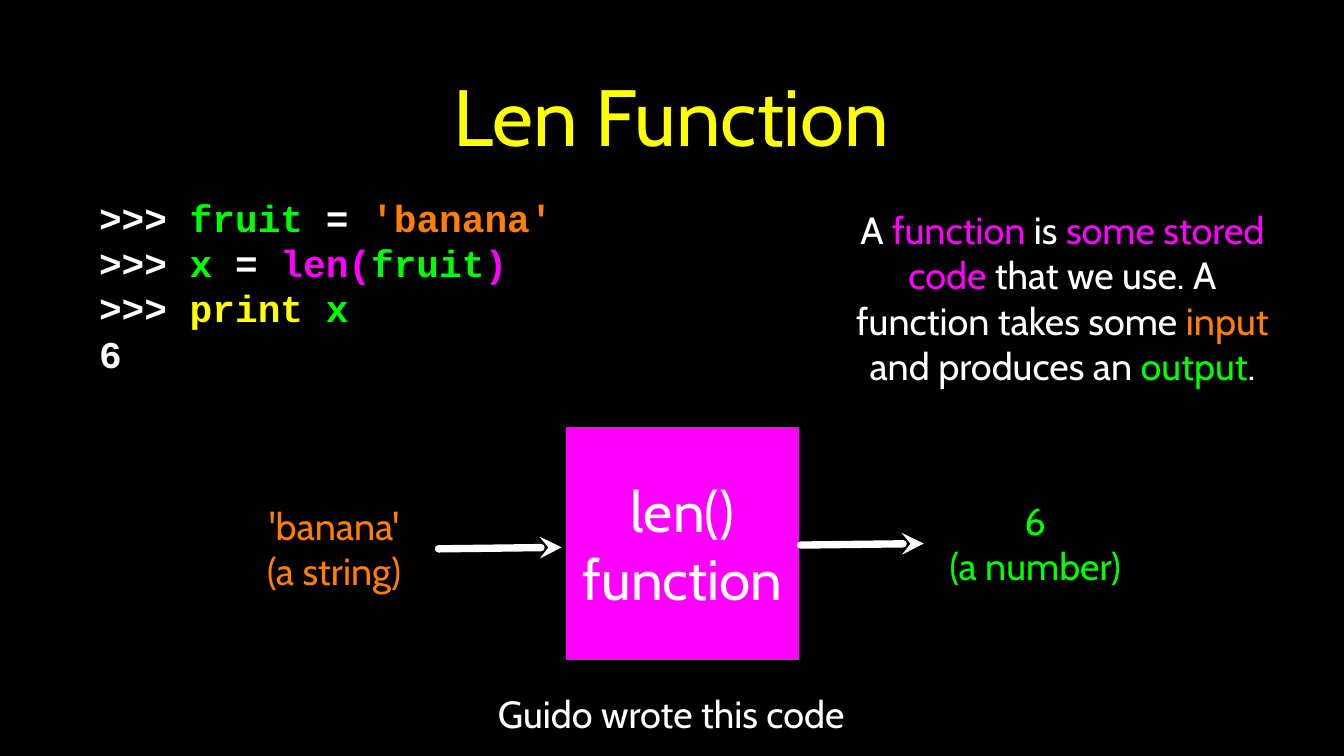
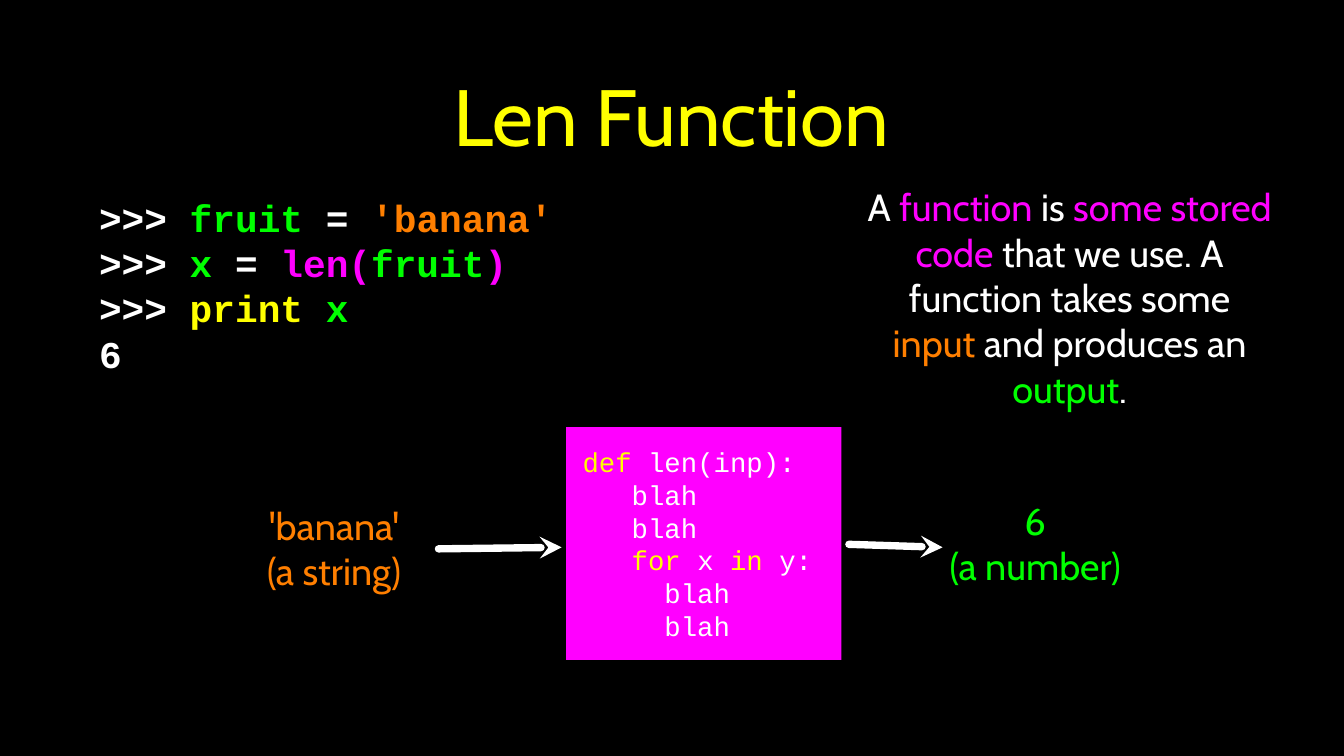
import pptx
import pptx.util
import pptx.dml.color
import pptx.enum.shapes
import pptx.enum.text
import pptx.oxml.ns
from lxml import etree

Inches, Pt = pptx.util.Inches, pptx.util.Pt
ALIGN = pptx.enum.text.PP_ALIGN
COLORS = {"black": "000000", "white": "FFFFFF", "yellow": "FFFF00",
          "green": "00FF00", "orange": "FF7F00", "magenta": "FF00FF"}
SANS, MONO = "Cabin", "Courier New"
CHAR_WIDTH = 0.6

SESSION = [
    [(">>> ", "white"), ("fruit ", "green"), ("=", "white"), (" 'banana'", "orange")],
    [(">>> ", "white"), ("x ", "green"), ("= ", "white"), ("len(", "magenta"),
     ("fruit", "green"), (")", "magenta")],
    [(">>> ", "white"), ("print ", "yellow"), ("x", "green")],
    [("6", "white")],
]
DEFINITION = [
    [("def", "yellow"), (" len(inp):", "white")],
    [("blah", "white")],
    [("blah", "white")],
    [("for", "yellow"), (" x ", "white"), ("in", "yellow"), (" y:", "white")],
    [("blah", "white")],
    [("blah", "white")],
]
DEFINITION_INDENTS = [1, 4, 4, 4, 6, 6]
EXPLANATION = [[
    ("A ", "white"), ("function", "magenta"), (" is ", "white"),
    ("some stored code", "magenta"), (" that we use. A function takes some ", "white"),
    ("input", "orange"), (" and produces an ", "white"), ("output", "green"), (".", "white"),
]]


def rgb(name):
    """Return the palette colour called name."""
    return pptx.dml.color.RGBColor.from_string(COLORS[name])


def set_text(shape, lines, size, font=SANS, bold=False, inset=0, indents=None):
    """Fill a shape with coloured runs: code left, prose centred."""
    tf = shape.text_frame
    tf.word_wrap = True
    tf.auto_size = pptx.enum.text.MSO_AUTO_SIZE.NONE
    tf.vertical_anchor = pptx.enum.text.MSO_ANCHOR.MIDDLE
    tf.margin_left = tf.margin_right = tf.margin_top = tf.margin_bottom = Inches(inset)
    for i, line in enumerate(lines):
        p = tf.paragraphs[0] if i == 0 else tf.add_paragraph()
        p.alignment = ALIGN.LEFT if font == MONO else ALIGN.CENTER
        if font == MONO:
            p.line_spacing = Pt(1.2 * size)
        if indents:
            p._p.get_or_add_pPr().set("marL", str(Pt(indents[i] * CHAR_WIDTH * size)))
        for text, color in line:
            r = p.add_run()
            r.text = text
            r.font.name, r.font.size, r.font.bold = font, Pt(size), bold
            r.font.color.rgb = rgb(color)


def add_text(s, box, lines, **style):
    """Add a 36 point text box."""
    tb = s.shapes.add_textbox(*map(Inches, box))
    set_text(tb, lines, 36, **style)


def add_function_box(s, width, lines, size, **style):
    """Add the magenta box that stands for the function."""
    sp = s.shapes.add_shape(pptx.enum.shapes.MSO_SHAPE.RECTANGLE,
                            *map(Inches, (7.49, 5.65, width, 3.08)))
    sp.shadow.inherit = False
    sp.fill.solid()
    sp.fill.fore_color.rgb = rgb("magenta")
    sp.line.fill.background()
    set_text(sp, lines, size, **style)


def add_arrow(s, tip, end):
    """Add a thick white arrow that points at tip."""
    cx = s.shapes.add_connector(pptx.enum.shapes.MSO_CONNECTOR.STRAIGHT,
                                *map(Inches, tip + end))
    cx.line.width = Pt(7)
    cx.line.color.rgb = rgb("white")
    ln = cx.line._get_or_add_ln()
    ln.set("cap", "rnd")
    etree.SubElement(ln, pptx.oxml.ns.qn("a:headEnd"), type="stealth")
    etree.SubElement(cx._element.spPr, pptx.oxml.ns.qn("a:effectLst"))


def add_base_slide(prs, explanation_left, explanation_width):
    """Add a slide with the title, session, explanation, input and output."""
    s = prs.slides.add_slide(prs.slide_layouts[5])
    title = s.shapes.title
    title.left, title.top, title.width, title.height = map(Inches, (1.26, 0.26, 15.24, 2.51))
    set_text(title, [[("Len Function", "yellow")]], 76, inset=0.04)
    add_text(s, (1.31, 2.56, 7.21, 2.42), SESSION, font=MONO, bold=True)
    add_text(s, (explanation_left, 2.74, explanation_width, 2.39), EXPLANATION)
    add_text(s, (3.51, 6.64, 1.82, 1.21),
             [[("'banana'", "orange")], [("(a string)", "orange")]])
    add_text(s, (12.51, 6.56, 2.37, 1.25), [[("6", "green")], [("(a number)", "green")]])
    add_arrow(s, (7.43, 7.24), (5.8, 7.26))
    return s


def main():
    """Build and save both slides."""
    prs = pptx.Presentation()
    prs.slide_width, prs.slide_height = Inches(17.78), Inches(10)
    fill = prs.slide_master.background.fill
    fill.solid()
    fill.fore_color.rgb = rgb("black")

    s = add_base_slide(prs, 11.25, 5.61)
    add_function_box(s, 3.08, [[("len()", "white")], [("function", "white")]], 54)
    add_arrow(s, (12.22, 7.19), (10.59, 7.21))
    add_text(s, (6.51, 9.1, 4.74, 0.68), [[("Guido wrote this code", "white")]])

    s = add_base_slide(prs, 11.45, 5.4)
    add_function_box(s, 3.64, DEFINITION, 26, font=MONO, indents=DEFINITION_INDENTS)
    add_arrow(s, (12.47, 7.24), (11.23, 7.2))

    prs.save("out.pptx")


main()
